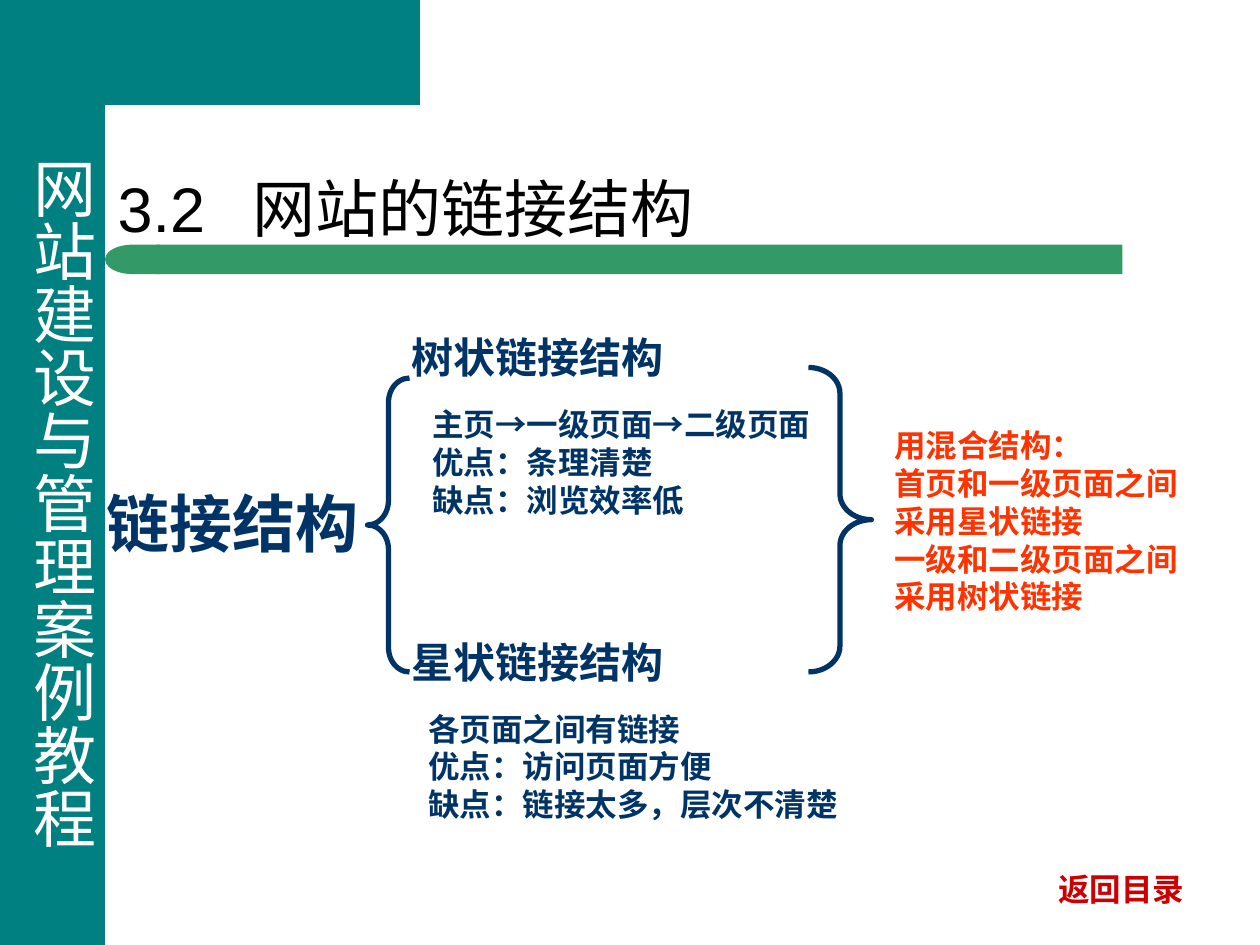
import math
from lxml import etree
from pptx import Presentation
from pptx.dml.color import RGBColor
from pptx.enum.shapes import MSO_SHAPE
from pptx.enum.text import MSO_ANCHOR, MSO_AUTO_SIZE, PP_ALIGN
from pptx.oxml.ns import qn
from pptx.util import Inches, Pt

RECT, DELAY = MSO_SHAPE.RECTANGLE, MSO_SHAPE.FLOWCHART_DELAY
LEFT_BRACE, RIGHT_BRACE = MSO_SHAPE.LEFT_BRACE, MSO_SHAPE.RIGHT_BRACE
LEFT, TOP, BOTTOM = PP_ALIGN.LEFT, MSO_ANCHOR.TOP, MSO_ANCHOR.BOTTOM
NO_FIT = MSO_AUTO_SIZE.NONE

WIDTH, HEIGHT, COLUMNS = 10, 7.5, 12
CELL = WIDTH / COLUMNS
ROWS = HEIGHT / CELL
FONT = "Arial"
COLORS = {
    "teal": "008080", "green": "339966", "navy": "003366",
    "orange": "FF3300", "red": "CC0000", "white": "FFFFFF", "black": "000000",
}


def color(name):
    return RGBColor.from_string(COLORS[name])


def grid(*cells):
    return [Inches(c * CELL) for c in cells]


def write(tf, text, size=18, fill="navy", bold=True, wrap=False,
          anchor=TOP, spacing=None):
    tf.word_wrap = wrap
    tf.auto_size = NO_FIT
    tf.vertical_anchor = anchor
    for i, line in enumerate(text.split("\n")):
        p = tf.paragraphs[0] if i == 0 else tf.add_paragraph()
        p.alignment = LEFT
        if spacing:
            p.line_spacing = spacing
        r = p.add_run()
        r.text = line
        r.font.name, r.font.size, r.font.bold = FONT, Pt(size), bold
        r.font.color.rgb = color(fill)


def add_text(s, box, text, **fmt):
    sp = s.shapes.add_textbox(*grid(*box))
    write(sp.text_frame, text, **fmt)
    return sp


def paint(sp, name):
    sp.shadow.inherit = False
    sp.fill.solid()
    sp.fill.fore_color.rgb = color(name)
    sp.line.fill.background()
    return sp


def add_frame(s, box, arm, radius):
    x, y, w, h = box
    paint(s.shapes.add_shape(RECT, *grid(x, y, 1, h)), "teal")
    cx, cy = x + 1 + radius, y + 1 + radius
    steps = 16
    curve = [(cx - radius * math.sin(a), cy - radius * math.cos(a))
             for a in (math.pi / 2 * i / steps for i in range(steps + 1))]
    points = [(arm, y), (arm, y + 1), *curve,
              (x + 1, y + 1.54), (x + 0.6, y + 1.54), (x + 0.6, y)]
    fb = s.shapes.build_freeform(*points[0], scale=Inches(CELL))
    fb.add_line_segments(points[1:], close=True)
    paint(fb.convert_to_shape(), "teal")


def add_side_title(s, box, text):
    sp = add_text(s, box, text, size=36, fill="white", bold=False)
    tf = sp.text_frame
    tf.margin_left = tf.margin_right = Inches(0.05)
    tf.margin_top = tf.margin_bottom = Inches(0.1)
    sp.element.txBody.bodyPr.set("vert", "eaVert")


def add_title(s, box, text, tab):
    sp = s.shapes.title
    sp.left, sp.top, sp.width, sp.height = grid(*box)
    write(sp.text_frame, text, size=36, fill="black", bold=False, wrap=True,
          anchor=BOTTOM, spacing=0.9)
    pPr = sp.text_frame.paragraphs[0]._p.get_or_add_pPr()
    tabs = etree.SubElement(pPr, qn("a:tabLst"))
    etree.SubElement(tabs, qn("a:tab"), pos=str(Inches(tab * CELL)), algn="l")


def add_rule(s, box):
    x, y, w, h = box
    cap = 0.52
    paint(s.shapes.add_shape(RECT, *grid(x + cap - 0.03, y, w - cap + 0.03, h)), "green")
    paint(s.shapes.add_shape(DELAY, *grid(x, y, cap, h)), "green").rotation = 180


def add_brace(s, box, kind, curl):
    sp = s.shapes.add_shape(kind, *grid(*box))
    sp.shadow.inherit = False
    sp.fill.background()
    sp.line.color.rgb = color("navy")
    sp.line.width = Pt(3)
    sp.adjustments[0] = curl


def add_branch(s, box, heading, points, indent):
    x, y, w, h = box
    add_text(s, (x, y, 2.64, 0.6), heading, size=24)
    add_text(s, (x + indent, y + 0.7, w - indent, h - 0.7), points)


def main():
    prs = Presentation()
    prs.slide_width, prs.slide_height = Inches(WIDTH), Inches(HEIGHT)
    s = prs.slides.add_slide(prs.slide_layouts[5])
    add_frame(s, (0, 0, COLUMNS, ROWS), arm=4.2, radius=0.39)
    add_rule(s, (1, 2.33, 9.69, 0.28))
    add_side_title(s, (0.06, 1.38, 0.96, 6.72), "网站建设与管理案例教程")
    add_text(s, (9.96, 8.23, 1.44, 0.48), "返回目录", fill="red")
    add_title(s, (1, 1.09, 10.4, 1.31), "3.2\t网站的链接结构", tab=1.28)
    add_text(s, (0.9, 4.56, 3, 0.84), "链接结构", size=36, wrap=True)
    add_brace(s, (3.5, 3.6, 0.4, 2.8), LEFT_BRACE, 0.58)
    add_branch(s, (3.8, 3.1, 4.04, 1.9), "树状链接结构",
               "主页→一级页面→二级页面\n优点：条理清楚\n缺点：浏览效率低", indent=0.2)
    add_branch(s, (3.8, 6, 4.3, 1.9), "星状链接结构",
               "各页面之间有链接\n优点：访问页面方便\n缺点：链接太多，层次不清楚", indent=0.16)
    add_brace(s, (7.7, 3.5, 0.6, 2.9), RIGHT_BRACE, 0.41)
    add_text(s, (8.4, 4, 3, 1.92),
             "用混合结构：\n首页和一级页面之间采用星状链接\n一级和二级页面之间采用树状链接",
             fill="orange", wrap=True)
    prs.save("out.pptx")


if __name__ == "__main__":
    main()
